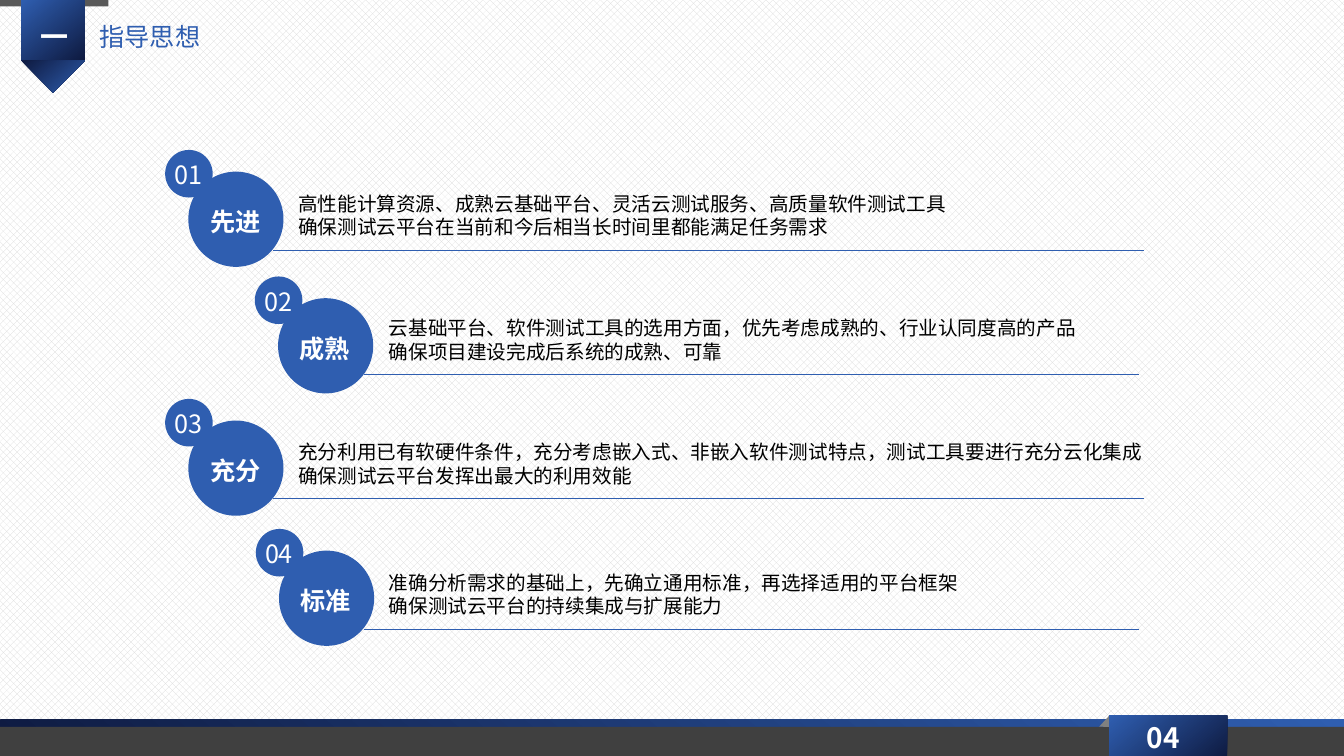
from lxml import etree
from pptx import Presentation
from pptx.dml.color import RGBColor
from pptx.enum.dml import MSO_PATTERN
from pptx.enum.shapes import MSO_CONNECTOR, MSO_SHAPE
from pptx.enum.text import MSO_ANCHOR, PP_ALIGN
from pptx.oxml.ns import qn
from pptx.util import Pt

FONT = "Noto Sans CJK SC"
COLORS = {name: RGBColor.from_string(value) for name, value in {
    "blue": "2F5EB0", "navy": "0E1A40", "white": "FFFFFF", "black": "000000",
    "footer": "404040", "fold": "808080", "tab": "595959", "pattern": "D9D9D9",
}.items()}

presentation = Presentation()
presentation.slide_width, presentation.slide_height = Pt(960.5), Pt(540)
slide = presentation.slides.add_slide(presentation.slide_layouts[6])


def add_block(kind, left, top, width, height, color=None, angle=None):
    """Add a borderless shape, with a solid colour or a navy-to-blue gradient."""
    shape = slide.shapes.add_shape(kind, Pt(left), Pt(top), Pt(width), Pt(height))
    shape.shadow.inherit = False
    shape.line.fill.background()
    if color:
        shape.fill.solid()
        shape.fill.fore_color.rgb = COLORS[color]
    else:
        shape.fill.gradient()
        shape.fill.gradient_angle = angle
        for stop, name, position in zip(shape.fill.gradient_stops, ("navy", "blue"), (0, 1)):
            stop.color.rgb = COLORS[name]
            stop.position = position
    return shape


def add_text(text, left, top, width, height, size, color="white", bold=False,
             align=PP_ALIGN.CENTER, anchor=MSO_ANCHOR.TOP, margins=(5, 2.9)):
    box = slide.shapes.add_textbox(Pt(left), Pt(top), Pt(width), Pt(height))
    frame = box.text_frame
    frame.word_wrap = True
    frame.vertical_anchor = anchor
    frame.margin_left = frame.margin_right = Pt(margins[0])
    frame.margin_top = frame.margin_bottom = Pt(margins[1])
    frame.text = text
    for paragraph in frame.paragraphs:
        paragraph.alignment = align
        for run in paragraph.runs:
            run.font.size = Pt(size)
            run.font.bold = bold
            run.font.color.rgb = COLORS[color]
            run.font.name = FONT
            etree.SubElement(run.font._element, qn("a:ea"), typeface=FONT)


# Background
background = slide.background.fill
background.patterned()
background.pattern = MSO_PATTERN.PERCENT_50
background.fore_color.rgb = COLORS["pattern"]
background.back_color.rgb = COLORS["white"]

# Footer with page number
add_block(MSO_SHAPE.RECTANGLE, 0, 514.1, 960.5, 28, angle=50)
add_block(MSO_SHAPE.RECTANGLE, 0, 519.1, 960.5, 23, "footer")
builder = slide.shapes.build_freeform(Pt(792.7), Pt(511.2))
builder.add_line_segments(
    [(Pt(864.7), Pt(511.2)), (Pt(865.4), Pt(519.8)), (Pt(785.5), Pt(519.1))], close=True)
fold = builder.convert_to_shape()
fold.shadow.inherit = False
fold.fill.solid()
fold.fill.fore_color.rgb = COLORS["fold"]
fold.line.fill.background()
add_block(MSO_SHAPE.RECTANGLE, 792.7, 511.2, 84.3, 31, angle=130)
add_text("04", 786.2, 511.2, 90.7, 31, 20, bold=True, anchor=MSO_ANCHOR.MIDDLE)

# Header ribbon and title
add_block(MSO_SHAPE.RECTANGLE, 0, 0, 77.5, 4.5, "tab")
add_block(MSO_SHAPE.RECTANGLE, 15.1, 0, 45.5, 43.2, angle=130)
add_block(MSO_SHAPE.ISOSCELES_TRIANGLE, 15.1, 43.2, 45.5, 22.7, angle=130).rotation = 180
add_text("指导思想", 66.2, 12.2, 170, 27.4, 18, "blue", align=PP_ALIGN.LEFT)
add_text("一", -6.5, 10.1, 90.7, 31, 20, bold=True, anchor=MSO_ANCHOR.MIDDLE)

# Principles: title, circle left, circle top, line left, line right, line height, text
principles = [
    ("先进", 134.6, 122.6, 195.1, 817.9, 178.6,
     "高性能计算资源、成熟云基础平台、灵活云测试服务、高质量软件测试工具\n"
     "确保测试云平台在当前和今后相当长时间里都能满足任务需求"),
    ("成熟", 198.7, 213, 259.9, 814.3, 267.8,
     "云基础平台、软件测试工具的选用方面，优先考虑成熟的、行业认同度高的产品\n"
     "确保项目建设完成后系统的成熟、可靠"),
    ("充分", 134.6, 300.4, 195.1, 817.9, 356.2,
     "充分利用已有软硬件条件，充分考虑嵌入式、非嵌入软件测试特点，测试工具要进行充分云化集成\n"
     "确保测试云平台发挥出最大的利用效能"),
    ("标准", 199.4, 393.3, 259.9, 814.3, 449.4,
     "准确分析需求的基础上，先确立通用标准，再选择适用的平台框架\n"
     "确保测试云平台的持续集成与扩展能力"),
]
for number, (title, left, top, line_left, line_right, line_y, text) in enumerate(principles, 1):
    line = slide.shapes.add_connector(
        MSO_CONNECTOR.STRAIGHT, Pt(line_left), Pt(line_y), Pt(line_right), Pt(line_y))
    line.line.color.rgb = COLORS["blue"]
    line.line.width = Pt(0.75)
    etree.SubElement(line._element.spPr, qn("a:effectLst"))
    text_left = line_left + 18
    add_text(text, text_left, line_y - 41.8, 820.1 - text_left, 33.8, 14, "black",
             align=PP_ALIGN.LEFT, margins=(0, 0))
    add_block(MSO_SHAPE.OVAL, left, top, 68, 68, "blue")
    add_text(title, left - 0.5, top + 22, 68, 27.4, 18, bold=True)
    add_block(MSO_SHAPE.OVAL, left - 16.6, top - 15.5, 34, 34, "blue")
    add_text(f"{number:02}", left - 17.3, top - 11.7, 34.6, 27.4, 18)

presentation.save("out.pptx")
